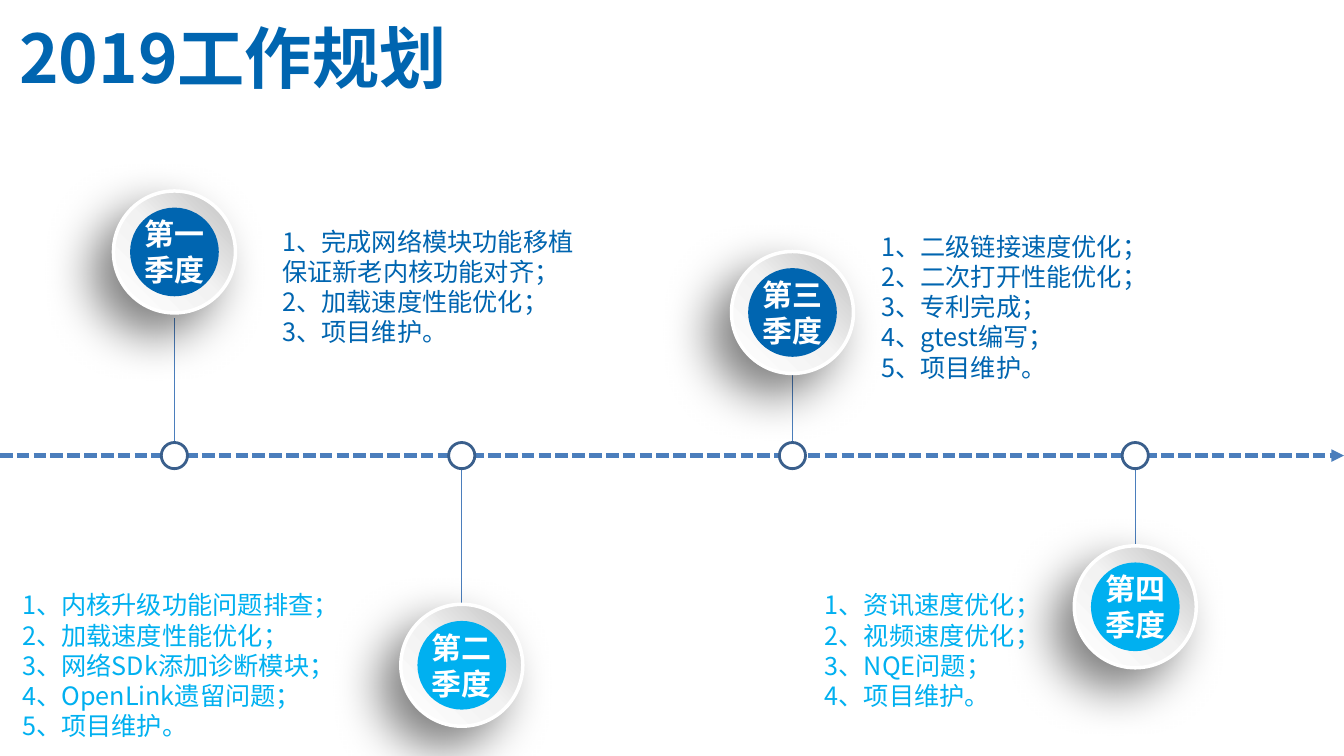
"""Build the 2019 work plan slide with a four-quarter timeline."""
from copy import deepcopy
from dataclasses import dataclass
from typing import Any

from lxml import etree
from pptx import Presentation
from pptx import util as u
from pptx.dml.color import RGBColor
from pptx.enum import dml, shapes, text
from pptx.oxml import ns

NAVY = RGBColor(0x00, 0x65, 0xB0)
SKY = RGBColor(0x00, 0xB0, 0xF0)
AXIS_BLUE = RGBColor(0x4B, 0x7E, 0xBC)
NODE_BLUE = RGBColor(0x3A, 0x5F, 0x8C)
WHITE = RGBColor(0xFF, 0xFF, 0xFF)
PALE = RGBColor(0xF2, 0xF2, 0xF2)
GREY = RGBColor(0xBF, 0xBF, 0xBF)

CJK_FONT = "Noto Sans CJK SC"
LINE_RATIO = 1.2
SLIDE_WIDTH, SLIDE_HEIGHT = 13.33, 7.5
AXIS_Y = 4.52
NODE_SIZE, RIM_SIZE, CORE_SIZE = 0.26, 1.21, 0.88
COMPARISON_LAYOUT = 4


@dataclass(frozen=True)
class Quarter:
    """A quarter's badge on the timeline and its task list."""
    label: tuple[str, str]
    color: RGBColor
    center_x: float
    center_y: float
    stem_end: float
    tasks_box: tuple[float, float, float, float]
    tasks: tuple[str, ...]


QUARTERS = (
    Quarter(("第一", "季度"), NAVY, 1.73, 2.5, 3.15, (2.7, 2.19, 3.14, 1.48),
            ("1、完成网络模块功能移植", "保证新老内核功能对齐；",
             "2、加载速度性能优化；", "3、项目维护。")),
    Quarter(("第二", "季度"), SKY, 4.58, 6.6, 5.99, (0.12, 5.8, 3.47, 1.6),
            ("1、内核升级功能问题排查；", "2、加载速度性能优化；",
             "3、网络SDk添加诊断模块；", "4、OpenLink遗留问题；", "5、项目维护。")),
    Quarter(("第三", "季度"), NAVY, 7.86, 3.1, 3.7, (8.64, 2.24, 2.89, 1.6),
            ("1、二级链接速度优化；", "2、二次打开性能优化；",
             "3、专利完成；", "4、gtest编写；", "5、项目维护。")),
    Quarter(("第四", "季度"), SKY, 11.26, 6.02, 5.85, (8.08, 5.8, 2.39, 1.3),
            ("1、资讯速度优化；", "2、视频速度优化；", "3、NQE问题；", "4、项目维护。")),
)


def apply_format(target: Any, values: dict[str, Any]) -> None:
    """Set every named attribute on the target."""
    for name, value in values.items():
        setattr(target, name, value)


def add_element(parent: Any, tag: str, **attributes: str) -> Any:
    """Append a DrawingML element."""
    return etree.SubElement(parent, ns.qn(tag), attributes)


def write_lines(frame: Any, lines: tuple[str, ...], size: float, color: RGBColor,
                font: str = CJK_FONT, bold: bool = False,
                align: text.PP_ALIGN = text.PP_ALIGN.LEFT) -> None:
    """Fill a text frame with evenly spaced, unbulleted lines."""
    frame.text = "\n".join(lines)
    for paragraph in frame.paragraphs:
        apply_format(paragraph, {"alignment": align, "space_before": u.Pt(0),
                                 "line_spacing": u.Pt(round(size * LINE_RATIO, 1))})
        properties = paragraph._p.get_or_add_pPr()
        apply_format(properties, {})
        properties.set("marL", "0")
        properties.set("indent", "0")
        add_element(properties, "a:buNone")
        for run in paragraph.runs:
            apply_format(run.font, {"name": font, "size": u.Pt(size), "bold": bold})
            run.font.color.rgb = color
            add_element(run._r.get_or_add_rPr(), "a:ea", typeface=CJK_FONT)


def fill_placeholder(holder: Any, box: tuple[float, float, float, float],
                     lines: tuple[str, ...], size: float, color: RGBColor,
                     bold: bool = False) -> None:
    """Move a placeholder and write its lines."""
    sides = ("left", "top", "width", "height")
    apply_format(holder, {side: u.Inches(value) for side, value in zip(sides, box)})
    apply_format(holder.text_frame, {
        "word_wrap": True, "auto_size": text.MSO_AUTO_SIZE.NONE,
        "vertical_anchor": text.MSO_ANCHOR.TOP,
        "margin_left": u.Inches(0.1), "margin_right": u.Inches(0),
        "margin_top": u.Inches(0.05), "margin_bottom": u.Inches(0.05)})
    write_lines(holder.text_frame, lines, size, color, bold=bold)


def add_line(slide: Any, start: tuple[float, float], end: tuple[float, float],
             width: float) -> Any:
    """Draw a straight line without a shadow."""
    line = slide.shapes.add_connector(
        shapes.MSO_CONNECTOR.STRAIGHT, *(u.Inches(value) for value in start + end))
    line.line.color.rgb = AXIS_BLUE
    line.line.width = u.Pt(width)
    add_element(line._element.spPr, "a:effectLst")
    return line


def add_circle(slide: Any, x: float, y: float, size: float, fill: RGBColor,
               outline: RGBColor | None = None, width: float = 0) -> Any:
    """Draw a circle around a center point."""
    circle = slide.shapes.add_shape(
        shapes.MSO_SHAPE.OVAL, u.Inches(x - size / 2), u.Inches(y - size / 2),
        u.Inches(size), u.Inches(size))
    circle.shadow.inherit = False
    circle.fill.solid()
    circle.fill.fore_color.rgb = fill
    if outline is None:
        circle.line.fill.background()
    else:
        circle.line.color.rgb = outline
        circle.line.width = u.Pt(width)
    return circle


def raise_rim(rim: Any) -> None:
    """Give a rim its gradient and soft shadow."""
    rim.fill.gradient()
    rim.fill.gradient_angle = 45
    stop_list = rim._element.spPr.find(".//" + ns.qn("a:gsLst"))
    stop_list.insert(1, deepcopy(stop_list[0]))
    for stop, color, position in zip(rim.fill.gradient_stops, (WHITE, PALE, GREY), (0, 0.5, 1)):
        stop.color.rgb = color
        stop.position = position
    effects = rim._element.spPr.find(ns.qn("a:effectLst"))
    shadow = add_element(effects, "a:outerShdw", blurRad=str(u.Pt(35)), dist=str(u.Pt(20)),
                         dir=str(135 * 60000), algn="tr", rotWithShape="0")
    shade = add_element(shadow, "a:srgbClr", val="000000")
    add_element(shade, "a:alpha", val="50000")


def add_quarter(slide: Any, quarter: Quarter) -> None:
    """Draw a quarter's stem, node and badge."""
    x, y = quarter.center_x, quarter.center_y
    add_line(slide, (x, AXIS_Y), (x, quarter.stem_end), 0.75)
    add_circle(slide, x, AXIS_Y, NODE_SIZE, WHITE, NODE_BLUE, 2)
    raise_rim(add_circle(slide, x, y, RIM_SIZE, WHITE, WHITE, 2.5))
    core = add_circle(slide, x, y, CORE_SIZE, quarter.color)
    apply_format(core.text_frame, {
        "word_wrap": False, "vertical_anchor": text.MSO_ANCHOR.MIDDLE,
        "margin_left": 0, "margin_right": 0})
    write_lines(core.text_frame, quarter.label, 21.4, WHITE, "Arial", True,
                text.PP_ALIGN.CENTER)


def main() -> None:
    """Build and save the slide."""
    deck = Presentation()
    apply_format(deck, {"slide_width": u.Inches(SLIDE_WIDTH),
                        "slide_height": u.Inches(SLIDE_HEIGHT)})
    slide = deck.slides.add_slide(deck.slide_layouts[COMPARISON_LAYOUT])
    title, *task_lists = slide.placeholders
    fill_placeholder(title, (0.09, 0.11, 4.63, 0.9), ("2019工作规划",), 48, NAVY, True)

    axis = add_line(slide, (0, AXIS_Y), (SLIDE_WIDTH, AXIS_Y), 3)
    axis.line.dash_style = dml.MSO_LINE.SQUARE_DOT
    add_element(axis.line._get_or_add_ln(), "a:tailEnd", type="triangle")

    for quarter, task_list in zip(QUARTERS, task_lists):
        add_quarter(slide, quarter)
        fill_placeholder(task_list, quarter.tasks_box, quarter.tasks, 18, quarter.color)
    deck.save("out.pptx")


if __name__ == "__main__":
    main()
